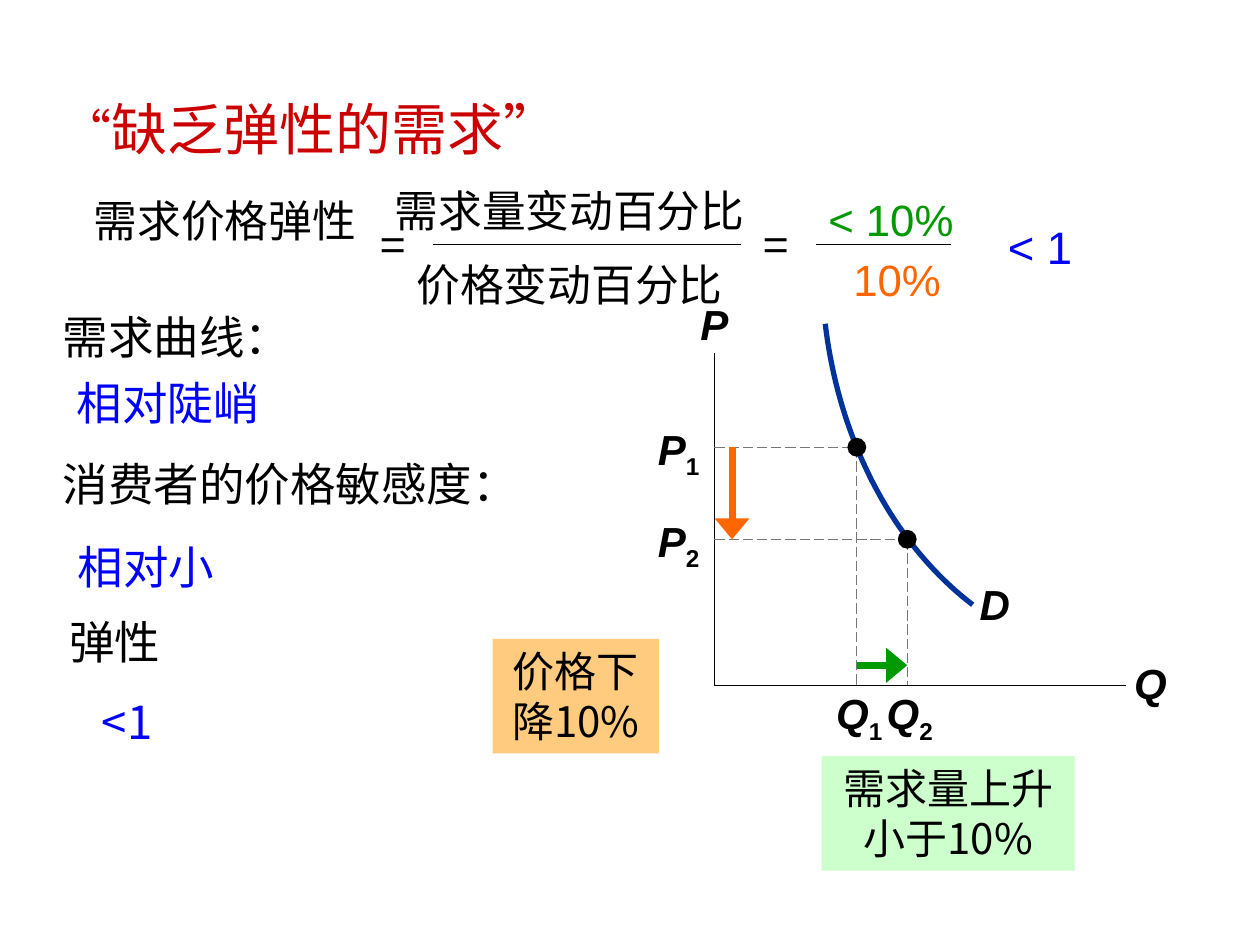
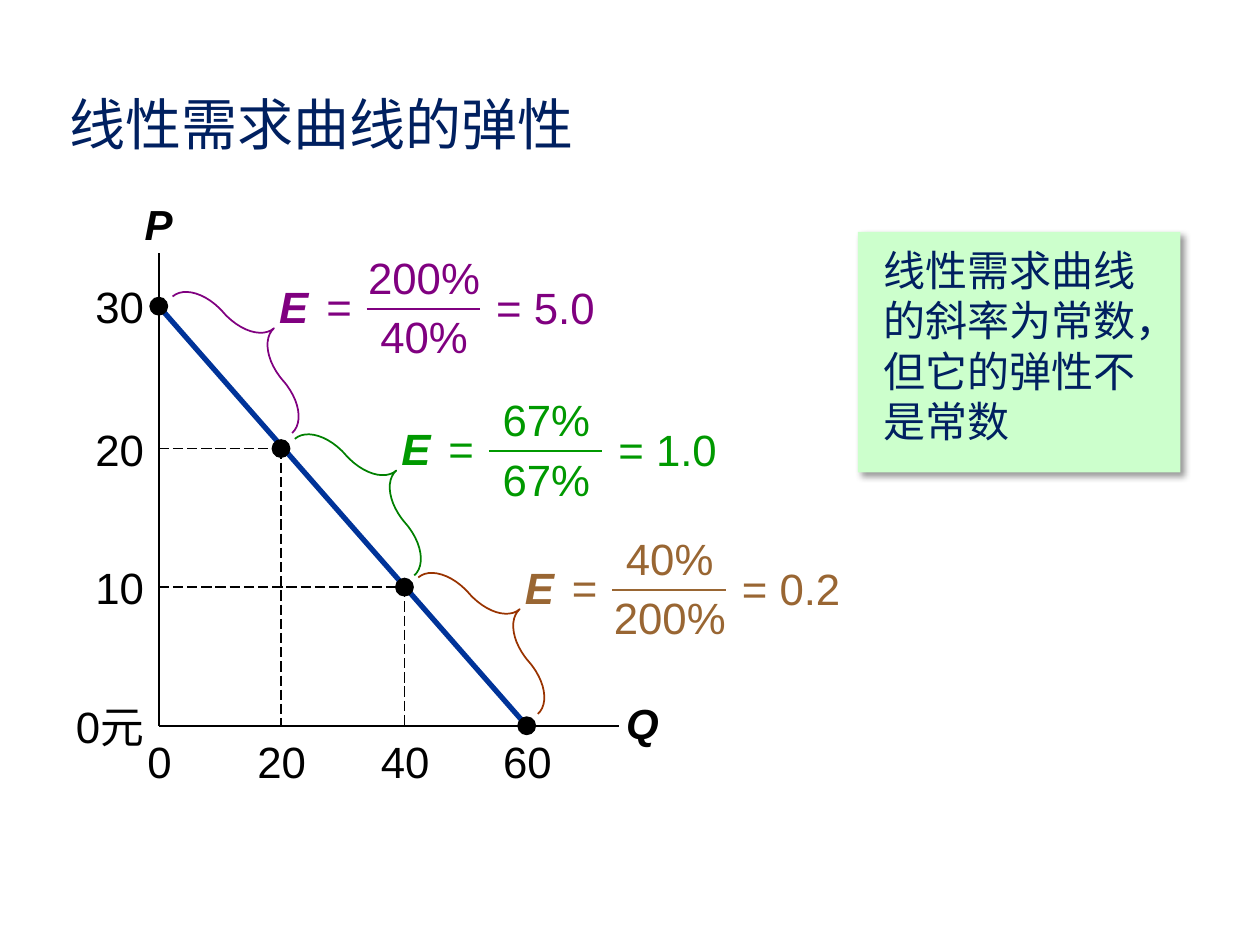
"""Build two slides on the price elasticity of demand."""
import pptx
import pptx.dml.color
import pptx.enum.dml
import pptx.enum.shapes
import pptx.enum.text
import pptx.oxml.ns
import pptx.oxml.xmlchemy
import pptx.util
from pptx.util import Inches

LATIN = "Arial"
CHINESE = "Noto Sans CJK SC"
BLACK, NAVY, RED, BLUE = "000000", "002060", "CC0000", "0000FF"
CURVE, GREEN, ORANGE, PALE_GREEN = "003399", "009900", "FF6600", "CCFFCC"
GRAY, PURPLE, BROWN = "777777", "800080", "996633"
ALIGNMENTS = {
    "left": pptx.enum.text.PP_ALIGN.LEFT,
    "center": pptx.enum.text.PP_ALIGN.CENTER,
    "right": pptx.enum.text.PP_ALIGN.RIGHT,
}
DOT_SIZE = 0.15
AXIS_LABEL = {"size": 24, "bold": True, "italic": True}


def color(hex_code):
    """Turn a hex string into a colour."""
    return pptx.dml.color.RGBColor.from_string(hex_code)


def add_xml(parent, tag, **attributes):
    """Append a DrawingML element and return it."""
    element = pptx.oxml.xmlchemy.OxmlElement(tag)
    for name, value in attributes.items():
        element.set(name, str(value))
    parent.append(element)
    return element


def write(shape, text, *, size=25, font=LATIN, ink=BLACK, bold=False, italic=False,
          align="center", middle=False, spacing=1.2, gap=0):
    """Write text, as a string or a list of (text, format changes) runs, in a shape."""
    frame = shape.text_frame
    frame.word_wrap = True
    anchors = pptx.enum.text.MSO_ANCHOR
    frame.vertical_anchor = anchors.MIDDLE if middle else anchors.TOP
    lines = text.split("\n") if isinstance(text, str) else [text]
    for index, line in enumerate(lines):
        paragraph = frame.add_paragraph() if index else frame.paragraphs[0]
        paragraph.alignment = ALIGNMENTS[align]
        if index:
            paragraph.space_before = pptx.util.Pt(gap)
        if font == CHINESE:
            paragraph.line_spacing = pptx.util.Pt(size * spacing)
        for content, changes in [(line, {})] if isinstance(line, str) else line:
            run = paragraph.add_run()
            run.text = content
            run.font.size = pptx.util.Pt(changes.get("size", size))
            run.font.bold = changes.get("bold", bold)
            run.font.italic = changes.get("italic", italic)
            run.font.color.rgb = color(ink)
            run.font.name = font
            properties = run.font._element
            add_xml(properties, "a:ea", typeface=CHINESE)
            if "baseline" in changes:
                properties.set("baseline", str(changes["baseline"]))


def add_text(slide, text, left, top, width, height=0.52, **text_format):
    """Add a text box."""
    box = slide.shapes.add_textbox(*map(Inches, (left, top, width, height)))
    write(box, text, **text_format)


def add_title(slide, text, left, top, **text_format):
    """Add the slide title."""
    add_text(slide, text, left, top, 9, 0.7, size=32, font=CHINESE,
             align="left", middle=True, **text_format)


def add_line(slide, start, end, ink=BLACK, weight=1, dashed=False, arrow=False):
    """Add a straight line, optionally dashed or ending in an arrowhead."""
    line = slide.shapes.add_connector(
        pptx.enum.shapes.MSO_CONNECTOR.STRAIGHT, *map(Inches, (*start, *end)))
    line.line.color.rgb = color(ink)
    line.line.width = pptx.util.Pt(weight)
    if dashed:
        line.line.dash_style = pptx.enum.dml.MSO_LINE.LONG_DASH
    if arrow:
        add_xml(line.line._get_or_add_ln(), "a:tailEnd", type="triangle", w="lg", len="med")
    add_xml(line._element.spPr, "a:effectLst")


def add_preset(slide, kind, left, top, width, height, fill=None):
    """Add a preset shape without outline or shadow."""
    shape = slide.shapes.add_shape(
        getattr(pptx.enum.shapes.MSO_SHAPE, kind), *map(Inches, (left, top, width, height)))
    shape.shadow.inherit = False
    shape.line.fill.background()
    if fill:
        shape.fill.solid()
        shape.fill.fore_color.rgb = color(fill)
    else:
        shape.fill.background()
    return shape


def add_note(slide, text, left, top, width, height, fill, **text_format):
    """Add a coloured note box."""
    note = add_preset(slide, "RECTANGLE", left, top, width, height, fill)
    write(note, text, size=24, font=CHINESE, **text_format)
    return note


def make_translucent(shape, percent):
    """Set the opacity of a solid fill."""
    fill = shape._element.spPr.find(pptx.oxml.ns.qn("a:solidFill"))
    add_xml(fill[0], "a:alpha", val=percent * 1000)


def add_shadow(shape):
    """Give a shape a soft shadow to the lower right."""
    effects = shape._element.spPr.find(pptx.oxml.ns.qn("a:effectLst"))
    shadow = add_xml(effects, "a:outerShdw", blurRad=pptx.util.Pt(4), dist=pptx.util.Pt(3),
                     dir=45 * 60000, algn="tl", rotWithShape=0)
    add_xml(add_xml(shadow, "a:srgbClr", val=BLACK), "a:alpha", val=40000)


def add_dot(slide, x, y):
    """Add a black dot centred on a point."""
    add_preset(slide, "OVAL", x - DOT_SIZE / 2, y - DOT_SIZE / 2, DOT_SIZE, DOT_SIZE, BLACK)


def add_axes(slide, origin, top, right):
    """Add the price and quantity axes with their letters."""
    x, y = origin
    add_line(slide, (x, top), origin)
    add_line(slide, origin, (right, y))
    add_text(slide, "P", x - 0.3, top - 0.48, 0.6, 0.5, **AXIS_LABEL)
    add_text(slide, "Q", right - 0.1, y - 0.27, 0.58, 0.5, **AXIS_LABEL)


def add_guides(slide, origin, point, ink):
    """Add dashed lines from a point to both axes."""
    add_line(slide, (origin[0], point[1]), point, ink, 0.75, dashed=True)
    add_line(slide, point, (point[0], origin[1]), ink, 0.75, dashed=True)


def add_curve(slide, controls, ink, weight, steps=40):
    """Add a cubic curve given by four control points."""
    points = []
    for step in range(steps + 1):
        t = step / steps
        weights = ((1 - t) ** 3, 3 * t * (1 - t) ** 2, 3 * t ** 2 * (1 - t), t ** 3)
        points.append(tuple(
            Inches(sum(w * control[axis] for w, control in zip(weights, controls)))
            for axis in (0, 1)))
    builder = slide.shapes.build_freeform(*points[0])
    builder.add_line_segments(points[1:], close=False)
    curve = builder.convert_to_shape()
    curve.shadow.inherit = False
    curve.fill.background()
    curve.line.color.rgb = color(ink)
    curve.line.width = pptx.util.Pt(weight)


def add_elasticity(slide, start, numerator, denominator, result, ink, brace_ink):
    """Add the brace and the elasticity fraction of a segment of the demand line."""
    x, y = start
    brace = add_preset(slide, "RIGHT_BRACE", x + 0.53, y - 0.4, 0.44, 1.44)
    brace.rotation = 318.8
    brace.adjustments[0] = 0.82
    brace.line.color.rgb = color(brace_ink)
    brace.line.width = pptx.util.Pt(1)
    add_text(slide, numerator, x + 1.55, y - 0.49, 1.11, ink=ink)
    add_text(slide, denominator, x + 1.53, y - 0.02, 1.15, ink=ink)
    add_line(slide, (x + 1.65, y + 0.02), (x + 2.55, y + 0.02), ink)
    add_text(slide, result, x + 2.58, y - 0.25, 1.16, ink=ink, align="left")
    plain = {"bold": False, "italic": False}
    symbol = [("E ", {"bold": True, "italic": True}), (" ", {"size": 12, **plain}), ("=", plain)]
    add_text(slide, symbol, x + 0.75, y - 0.26, 0.88, ink=ink, align="right")


def add_formula(slide):
    """Add the elasticity formula with its values."""
    bar_y = 1.94
    add_text(slide, "需求价格弹性", 0.54, 1.49, 2.49, font=CHINESE)
    add_text(slide, "需求量变动百分比\n价格变动百分比", 2.77, 1.41, 3.5, 1.15,
             font=CHINESE, gap=12)
    for left in (2.87, 5.91):
        add_text(slide, "=", left, 1.67, 0.5, size=26, font=CHINESE)
    for left, right in ((3.44, 5.88), (6.48, 7.55)):
        add_line(slide, (left, bar_y), (right, bar_y))
    add_text(slide, "< 10%", 6.43, 1.48, 1.28, ink=GREEN)
    add_text(slide, "10%", 6.48, 1.96, 1.28, ink=ORANGE)
    add_text(slide, "< 1", 7.88, 1.69, 0.75, size=26, ink=BLUE)


def build_inelastic_demand(slide):
    """Build the slide on inelastic demand."""
    origin = (5.67, 5.44)
    points = ((6.8, 3.55), (7.2, 4.28))
    add_curve(slide, ((7.72, 4.8), (7.09, 4.32), (6.66, 3.5), (6.55, 2.57)), CURVE, 3)
    add_text(slide, "D", 7.59, 4.54, 0.61, 0.5, **AXIS_LABEL)
    add_axes(slide, origin, 2.8, 8.94)
    for number, (x, y) in enumerate(points, 1):
        index = (str(number), {"italic": False, "baseline": -25000})
        add_guides(slide, origin, (x, y), GRAY)
        add_dot(slide, x, y)
        add_text(slide, [("Q", {}), index], x - 0.3, 5.41, 0.64, 0.5, **AXIS_LABEL)
        add_text(slide, [("P", {}), index], 4.99, y - 0.24, 0.66, 0.5,
                 align="right", **AXIS_LABEL)
    (x1, y1), (x2, y2) = points
    add_line(slide, (5.81, y1), (5.81, y2), ORANGE, 4, arrow=True)
    add_line(slide, (x1, 5.28), (x2, 5.28), GREEN, 4, arrow=True)
    price_note = add_note(slide, "价格下降10%", 3.91, 5.07, 1.32, 0.91, "FF9900")
    make_translucent(price_note, 50)
    add_note(slide, "需求量上升 小于10%", 6.52, 6, 2.01, 0.91, PALE_GREEN)
    add_formula(slide)
    add_title(slide, [("“", {"size": 28}), ("缺乏弹性的需求”", {})], 0.4, 0.67, ink=RED)
    for text, left, top, ink in (
        ("需求曲线：", 0.4, 2.35, BLACK),
        ("相对陡峭", 0.51, 2.88, BLUE),
        ("消费者的价格敏感度：", 0.4, 3.52, BLACK),
        ("相对小", 0.52, 4.18, BLUE),
        ("弹性", 0.45, 4.77, BLACK),
        ("<1", 0.71, 5.41, BLUE),
    ):
        add_text(slide, text, left, top, 3.8, 0.58, size=26, font=CHINESE,
                 ink=ink, align="left", spacing=1.34)


def build_linear_demand(slide):
    """Build the slide on the elasticity of a linear demand curve."""
    origin = (1.26, 5.76)
    points = ((1.26, 2.43), (2.23, 3.56), (3.21, 4.66), (4.18, 5.76))
    add_title(slide, "线性需求曲线的弹性", 0.45, 0.63, ink=NAVY)
    note = add_note(slide, "线性需求曲线的斜率为常数，但它的弹性不是常数",
                    6.81, 1.84, 2.56, 1.91, PALE_GREEN, ink=NAVY, align="left")
    note.text_frame.margin_left = note.text_frame.margin_right = Inches(0.2)
    note.text_frame.margin_top = note.text_frame.margin_bottom = Inches(0.1)
    add_shadow(note)
    add_axes(slide, origin, 2.01, 4.91)
    for (x, y), price, quantity in zip(points, ("30", "20", "10", "0元"), ("0", "20", "40", "60")):
        add_text(slide, price, 0.45, y - 0.26, 0.79, align="right", middle=True)
        add_text(slide, quantity, x - 0.34, 5.78, 0.69, middle=True)
    add_line(slide, points[0], points[-1], CURVE, 3)
    for point in points[1:-1]:
        add_guides(slide, origin, point, BLACK)
    for point in points:
        add_dot(slide, *point)
    for start, values in zip(points, (
        ("200%", "40%", "= 5.0", PURPLE, PURPLE),
        ("67%", "67%", "= 1.0", GREEN, "008000"),
        ("40%", "200%", "= 0.2", BROWN, "993300"),
    )):
        add_elasticity(slide, start, *values)


def main():
    """Create and save the presentation."""
    presentation = pptx.Presentation()
    presentation.slide_width = Inches(10)
    presentation.slide_height = Inches(7.5)
    for build in (build_inelastic_demand, build_linear_demand):
        build(presentation.slides.add_slide(presentation.slide_layouts[6]))
    presentation.save("out.pptx")


if __name__ == "__main__":
    main()
